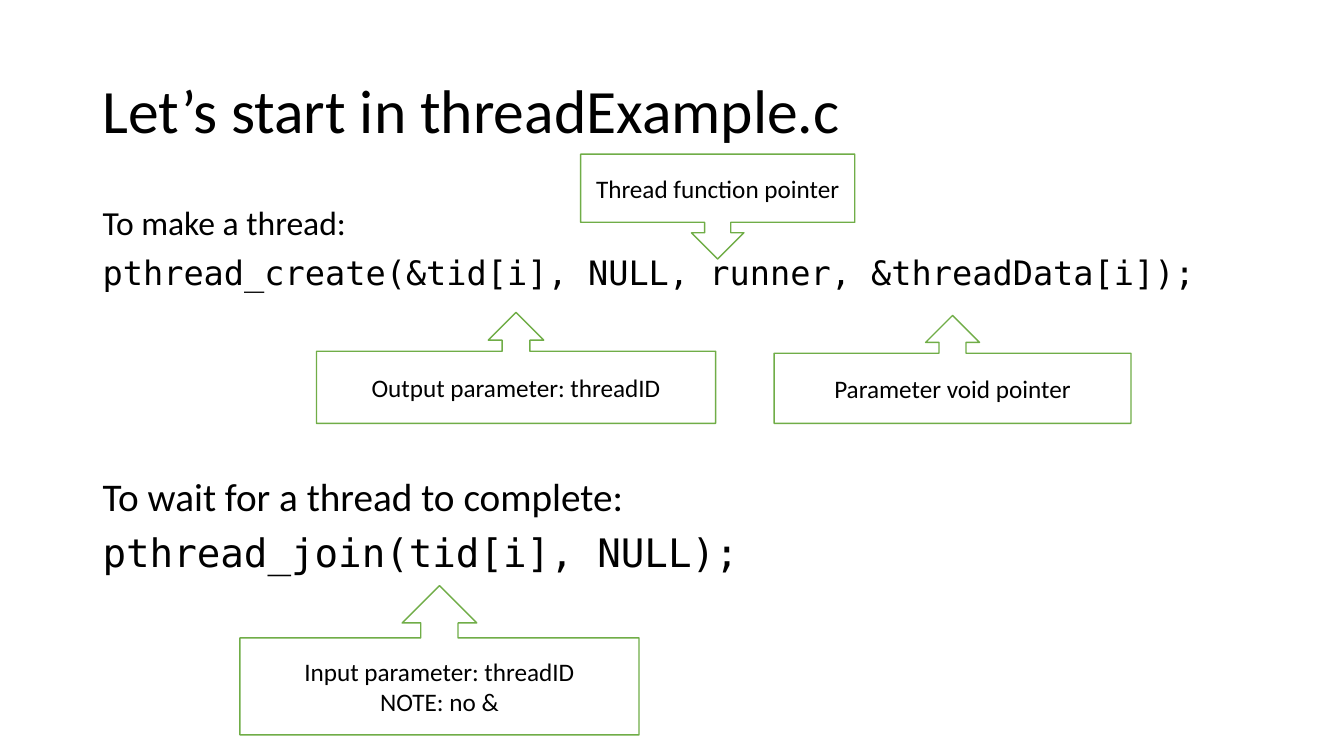
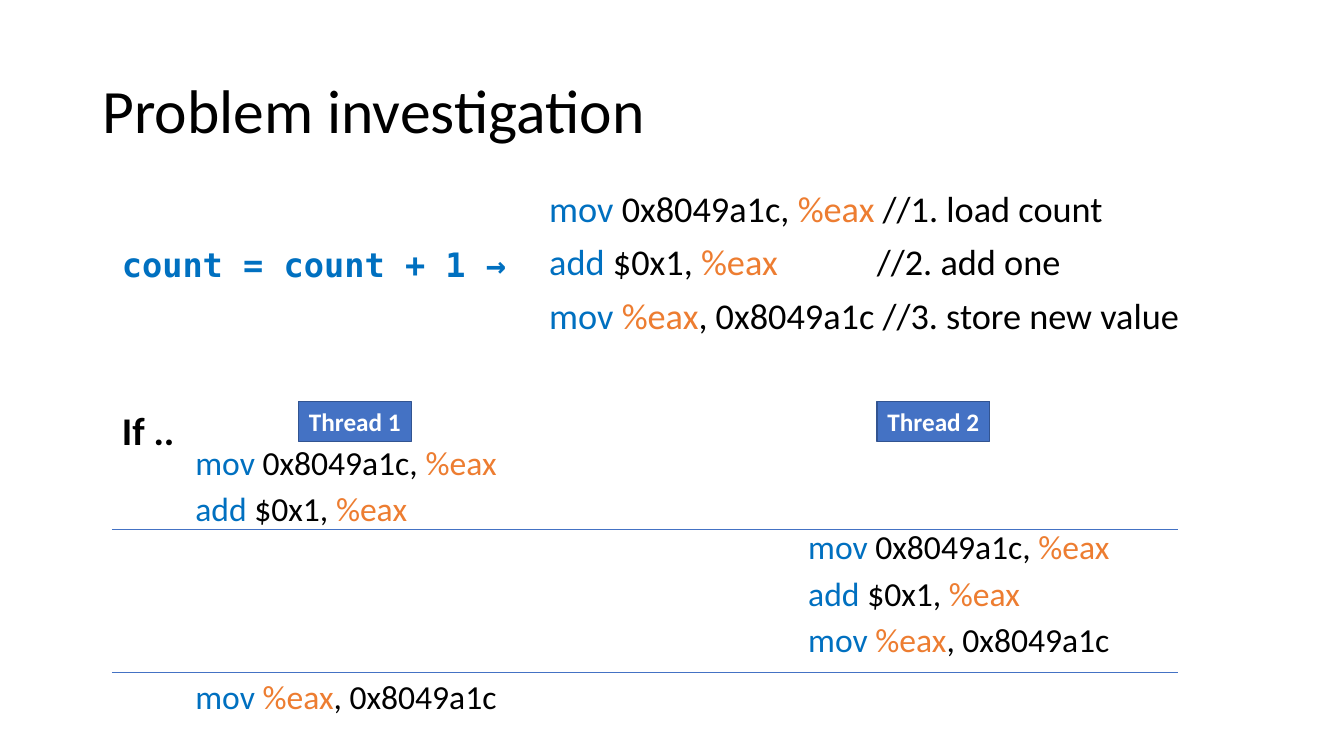
from pptx import Presentation
from pptx.dml.color import RGBColor
from pptx.enum import shapes, text
from pptx.oxml.ns import qn
from pptx.util import Emu, Inches, Pt
from lxml import etree

BLACK = RGBColor(0x00, 0x00, 0x00)
WHITE = RGBColor(0xFF, 0xFF, 0xFF)
GREEN = RGBColor(0x70, 0xAD, 0x47)
BLUE = RGBColor(0x00, 0x70, 0xC0)
ORANGE = RGBColor(0xED, 0x7D, 0x31)
LABEL_FILL = RGBColor(0x44, 0x72, 0xC4)
LABEL_LINE = RGBColor(0x32, 0x54, 0x91)

SANS, MONO = "Calibri", "DejaVu Sans Mono"
WIDTH, HEIGHT = Inches(13.333), Inches(7.5)
MARGIN, INDENT = 6.9, 8.33  # left edges, percent of slide width
REGISTER = "%eax"


# Lengths are percentages of the slide's width and height
def across(share):
    return Emu(round(WIDTH * share / 100))


def down(share):
    return Emu(round(HEIGHT * share / 100))


def place(left, top, width, height):
    return across(left), down(top), across(width), down(height)


# Text: each paragraph is a list of (text, format) runs
def run(content, color=BLACK, size=24, name=SANS, bold=False):
    return content, color, {"size": Pt(size), "name": name, "bold": bold}


def write(tf, paragraphs, anchor, **layout):
    tf.vertical_anchor = anchor
    for i, runs in enumerate(paragraphs):
        p = tf.paragraphs[0] if i == 0 else tf.add_paragraph()
        for key, value in layout.items():
            if i or key != "space_before":
                setattr(p, key, value)
        for content, color, fmt in runs:
            r = p.add_run()
            r.text = content
            r.font.color.rgb = color
            for key, value in fmt.items():
                setattr(r.font, key, value)


def add_text(s, box, paragraphs, anchor=text.MSO_ANCHOR.TOP, spacing=0.9):
    tf = s.shapes.add_textbox(*place(*box)).text_frame
    tf.word_wrap = True
    write(tf, paragraphs, anchor, line_spacing=spacing, space_before=Pt(10))
    return tf


def add_titled_slide(prs, title):
    s = prs.slides.add_slide(prs.slide_layouts[6])
    add_text(s, (MARGIN, 5.33, 86.2, 19.33), [[run(title, size=44)]],
             text.MSO_ANCHOR.MIDDLE)
    return s


# Shapes with centred text
def add_box(s, kind, box, fill, line, paragraphs, wrap=True):
    sp = s.shapes.add_shape(kind, *place(*box))
    sp.shadow.inherit = False
    sp.fill.solid()
    sp.fill.fore_color.rgb = fill
    sp.line.color.rgb = line
    sp.line.width = Pt(1)
    sp.text_frame.word_wrap = wrap
    write(sp.text_frame, paragraphs, text.MSO_ANCHOR.MIDDLE,
          alignment=text.PP_ALIGN.CENTER)


def add_callout(s, kind, box, *lines):
    add_box(s, kind, box, WHITE, GREEN, [[run(t, size=18)] for t in lines])


def add_thread_label(s, left, name):
    add_box(s, shapes.MSO_SHAPE.RECTANGLE, (left, 53.07, 8.4, 5.33),
            LABEL_FILL, LABEL_LINE, [[run(name, WHITE, 18, bold=True)]], wrap=False)


def add_rule(s, top):
    line = s.shapes.add_connector(shapes.MSO_CONNECTOR.STRAIGHT, across(INDENT),
                                  down(top), across(87.68), down(top))
    line.line.color.rgb = LABEL_FILL
    line.line.width = Pt(0.5)
    etree.SubElement(line._element.spPr, qn("a:effectLst"))


# Assembly: instruction blue, register orange, the rest black
def instruction(line, size=24):
    op, space, rest = line.partition(" ")
    before, register, after = rest.partition(REGISTER)
    parts = (op + space, BLUE), (before, BLACK), (register, ORANGE), (after, BLACK)
    return [run(t, color, size) for t, color in parts if t]


def add_assembly(s, left, top, width, height, lines, size=24, spacing=0.8):
    return add_text(s, (left, top, width, height),
                    [instruction(t, size) for t in lines], spacing=spacing)


def set_tab(p, position):
    tabs = etree.SubElement(p._p.get_or_add_pPr(), qn("a:tabLst"))
    etree.SubElement(tabs, qn("a:tab"), pos=str(position), algn="l")


def build_thread_calls(prs):
    s = add_titled_slide(prs, "Let’s start in threadExample.c")

    # Explanation and call, in two groups
    for top, size, intro, call in (
            (26.67, 24, "To make a thread:",
             "pthread_create(&tid[i], NULL, runner, &threadData[i]);"),
            (62.5, 28, "To wait for a thread to complete:",
             "pthread_join(tid[i], NULL);")):
        add_text(s, (MARGIN, top, 86.2, 16),
                 [[run(intro, size=size)], [run(call, size=size, name=MONO)]])

    # Callouts for the arguments
    up = shapes.MSO_SHAPE.UP_ARROW_CALLOUT
    add_callout(s, up, (23.55, 41.33, 29.7, 14.67), "Output parameter: threadID")
    add_callout(s, shapes.MSO_SHAPE.DOWN_ARROW_CALLOUT, (43.2, 20.4, 20.4, 13.87),
                "Thread function pointer")
    add_callout(s, up, (57.6, 41.73, 26.55, 14.27), "Parameter void pointer")
    add_callout(s, up, (17.85, 77.47, 29.7, 19.73),
                "Input parameter: threadID", "NOTE: no &")


def build_problem(prs):
    s = add_titled_slide(prs, "Problem investigation")
    load, add, store = steps = ("mov 0x8049a1c, %eax", "add $0x1, %eax",
                                "mov %eax, 0x8049a1c")

    # Statement and its three steps
    add_text(s, (INDENT, 31.6, 31.8, 6.67),
             [[run("count = count + 1 →", BLUE, name=MONO, bold=True)]], spacing=1)
    comments = " //1. load count", "\t//2. add one", " //3. store new value"
    tf = add_assembly(s, 40.13, 24.67, 49.13, 23.33,
                      [a + b for a, b in zip(steps, comments)], 25.9, 0.9)
    set_tab(tf.paragraphs[1], Inches(3.25))

    # Interleaving of the two threads
    add_text(s, (INDENT, 53.07, 7, 7.6), [[run("If ..", size=28, bold=True)]],
             spacing=1)
    add_assembly(s, 13.8, 58.8, 35, 12, (load, add))
    add_assembly(s, 59.4, 70, 35, 19.33, steps)
    add_assembly(s, 13.8, 89.73, 35, 6, (store,))
    add_thread_label(s, 22.2, "Thread 1")
    add_thread_label(s, 65.25, "Thread 2")
    for top in (70, 88.93):
        add_rule(s, top)


def main():
    prs = Presentation()
    prs.slide_width, prs.slide_height = WIDTH, HEIGHT
    build_thread_calls(prs)
    build_problem(prs)
    prs.save("out.pptx")


if __name__ == "__main__":
    main()
